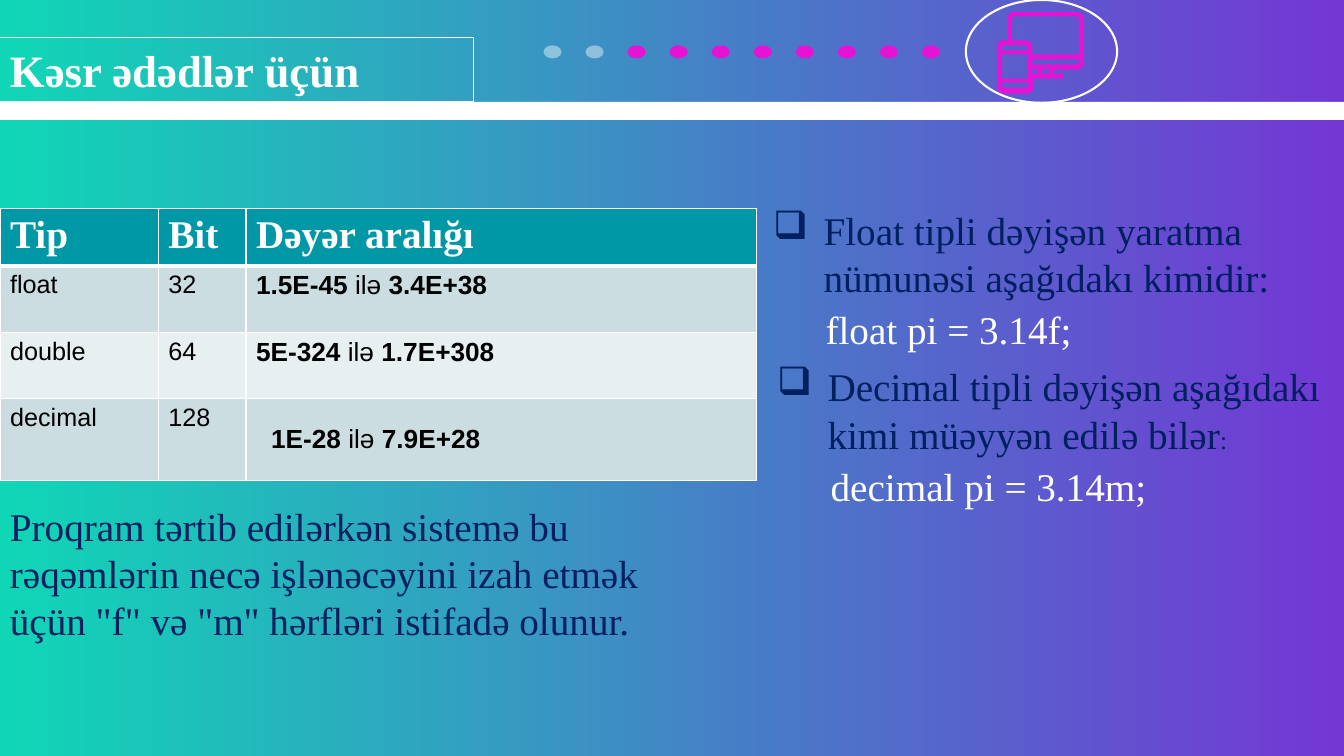
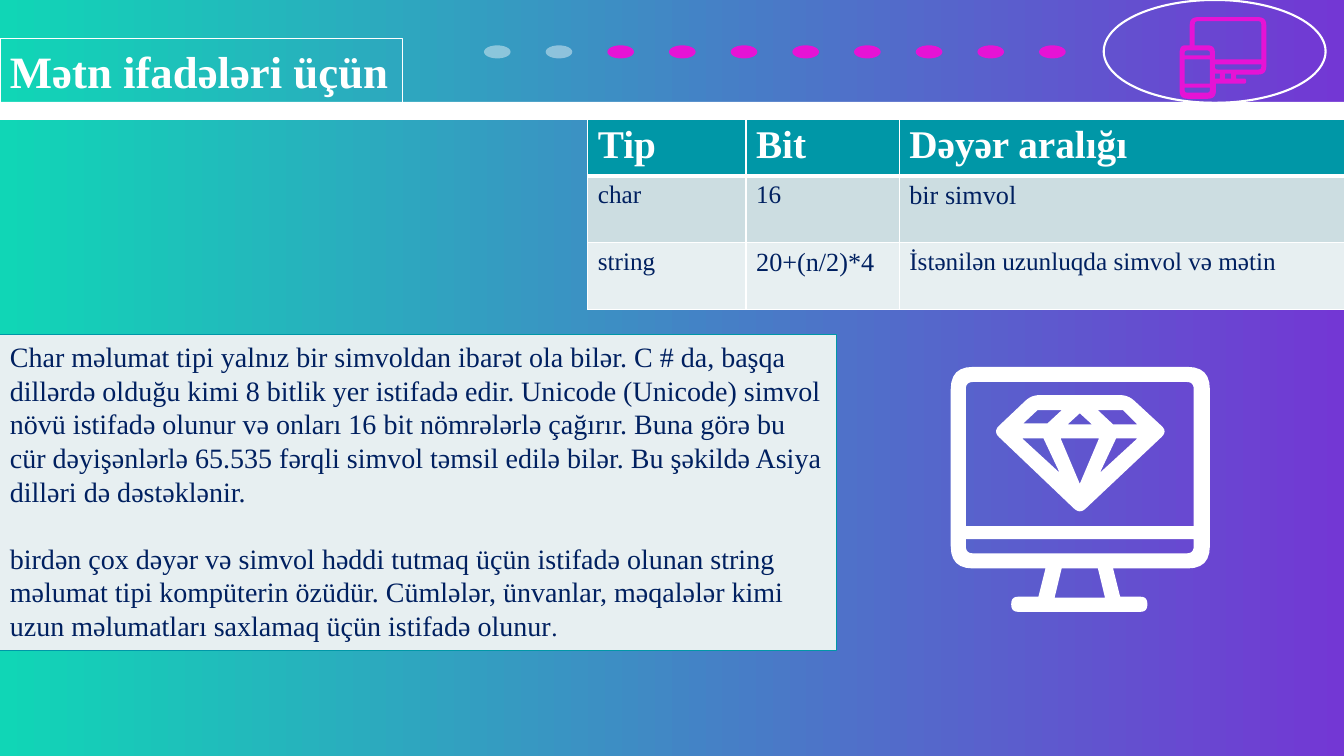
from dataclasses import dataclass
from typing import NamedTuple, Sequence

from lxml import etree
from pptx import Presentation
from pptx import util as u
from pptx.dml import color as colors
from pptx.enum import shapes, text as text_enum
from pptx.oxml import ns


@dataclass(frozen=True)
class Theme:
    white: str = "FFFFFF"
    black: str = "000000"
    navy: str = "002060"
    teal: str = "0097A7"
    magenta: str = "E613D5"
    band_dark: str = "CCDDE1"
    band_light: str = "E7EFF1"
    gradient: tuple[str, str] = ("10D6B6", "7337D4")
    serif: str = "Times New Roman"
    sans: str = "Arial"
    title_size: float = 32
    large_size: float = 28
    panel_size: float = 20
    range_size: float = 18.7
    small_size: float = 18


THEME = Theme()


class Run(NamedTuple):
    text: str
    size: float | None = None
    bold: bool | None = None


class Box(NamedTuple):
    left: float
    top: float
    width: float
    height: float

    def lengths(self) -> list[int]:
        return [u.Inches(value) for value in self]


class Corner(NamedTuple):
    x: float
    y: float
    radius: float = 0


Text = str | Sequence[Run]
Contour = Sequence[Corner]


@dataclass(frozen=True)
class Header:
    title: str
    title_box: Box
    wrap: bool
    left: float
    stretch: float
    icon_left: float
    icon_top: float


@dataclass(frozen=True)
class TypeTable:
    left: float
    top: float
    columns: Sequence[float]
    rows: Sequence[Sequence[Text]]
    font: str
    color: str


@dataclass(frozen=True)
class Note:
    box: Box
    text: Text
    color: str = THEME.navy
    bullet: bool = False
    wrap: bool = True


def contour(*corners: tuple) -> Contour:
    return [Corner(*corner) for corner in corners]


def rectangle(left: float, top: float, right: float, bottom: float,
              upper: float = 0, lower: float = 0) -> Contour:
    return contour((left, top, upper), (right, top, upper),
                   (right, bottom, lower), (left, bottom, lower))


DEVICES = [
    contour((.1, 0, .08), (.86, 0, .08), (.86, .57, .08), (.56, .57), (.56, .61),
            (.66, .61, .02), (.66, .66, .02), (.36, .66), (.36, .81, .08),
            (0, .81, .08), (0, .28, .08), (.1, .28)),
    contour((.15, .04, .03), (.81, .04, .03), (.81, .42), (.35, .42),
            (.35, .28, .07), (.15, .28)),
    rectangle(.05, .33, .3, .38, upper=.03),
    rectangle(.05, .42, .3, .66),
    rectangle(.05, .7, .3, .75, lower=.03),
    rectangle(.35, .47, .81, .52, lower=.03),
    rectangle(.35, .56, .4, .61),
    rectangle(.45, .56, .51, .61),
]
MONITOR = [
    contour((0, 0, .22), (2.57, 0, .22), (2.57, 2, .22), (1.61, 2), (1.68, 2.28),
            (1.95, 2.28, .07), (1.95, 2.43, .07), (.6, 2.43, .07), (.6, 2.28, .07),
            (.87, 2.28), (.94, 2), (0, 2, .22)),
    rectangle(.15, .15, 2.41, 1.58, upper=.07),
    rectangle(.15, 1.71, 2.41, 1.85, lower=.07),
    contour((1.1, 2), (1.46, 2), (1.53, 2.29), (1.03, 2.29)),
]
DIAMOND = [
    contour((.8, .28, .08), (1.76, .28, .08), (2.15, .64, .08),
            (1.28, 1.46, .08), (.42, .64, .08)),
    contour((1.1, .43), (.96, .56), (.72, .56), (.86, .43)),
    contour((1.28, .46), (1.4, .57), (1.16, .57)),
    contour((1.71, .43), (1.85, .57), (1.61, .57), (1.46, .43)),
    contour((.92, .71), (1.08, 1.05), (.71, .71)),
    contour((1.85, .71), (1.48, 1.05), (1.64, .71)),
    contour((1.47, .71), (1.28, 1.16), (1.09, .71)),
]


def rgb(value: str) -> colors.RGBColor:
    return colors.RGBColor.from_string(value)


def write(paragraph, text: Text, *, size: float, color: str, font: str = THEME.serif,
          bold: bool = False, bullet: bool = False, space_before: float = 0) -> None:
    paragraph.alignment = text_enum.PP_ALIGN.LEFT
    if space_before:
        paragraph.space_before = u.Pt(space_before)
    if bullet:
        properties = paragraph._p.get_or_add_pPr()
        properties.set("marL", str(u.Inches(.5)))
        properties.set("indent", str(-u.Inches(.5)))
        etree.SubElement(properties, ns.qn("a:buChar")).set("char", "❑")
    for part in [Run(text)] if isinstance(text, str) else text:
        run = paragraph.add_run()
        run.text = part.text
        run.font.name = font
        run.font.size = u.Pt(part.size or size)
        run.font.bold = bold if part.bold is None else part.bold
        run.font.color.rgb = rgb(color)


def paint(shape, *, fill: str | None = None, line: str | None = None,
          width: float = .75, opacity: int = 100) -> None:
    if fill:
        shape.fill.solid()
        shape.fill.fore_color.rgb = rgb(fill)
        if opacity < 100:
            tint = shape._element.spPr.find(".//" + ns.qn("a:srgbClr"))
            etree.SubElement(tint, ns.qn("a:alpha")).set("val", str(opacity * 1000))
    else:
        shape.fill.background()
    if line:
        shape.line.color.rgb = rgb(line)
        shape.line.width = u.Pt(width)
    else:
        shape.line.fill.background()


def add_shape(slide, kind: shapes.MSO_SHAPE, box: Box, **style):
    shape = slide.shapes.add_shape(kind, *box.lengths())
    shape.shadow.inherit = False
    paint(shape, **style)
    return shape


def add_text_frame(slide, box: Box, *, wrap: bool = True, **style):
    shape = slide.shapes.add_textbox(*box.lengths())
    paint(shape, **style)
    shape.text_frame.word_wrap = wrap
    return shape.text_frame


def toward(start: Corner, end: Corner, distance: float) -> tuple[float, float]:
    length = ((end.x - start.x) ** 2 + (end.y - start.y) ** 2) ** .5
    share = min(distance / length, .5)
    return start.x + (end.x - start.x) * share, start.y + (end.y - start.y) * share


def rounded_points(corners: Contour, left: float, top: float) -> list[tuple[int, int]]:
    points = []
    for index, corner in enumerate(corners):
        entry = toward(corner, corners[index - 1], corner.radius)
        leave = toward(corner, corners[(index + 1) % len(corners)], corner.radius)
        steps = 6 if corner.radius else 0
        for step in range(steps + 1):
            t = step / steps if steps else 0
            x, y = ((1 - t) ** 2 * a + 2 * t * (1 - t) * b + t * t * c
                    for a, b, c in zip(entry, corner[:2], leave))
            points.append((u.Inches(left + x), u.Inches(top + y)))
    return points


def add_icon(slide, contours: Sequence[Contour], left: float, top: float,
             color: str) -> None:
    outlines = [rounded_points(corners, left, top) for corners in contours]
    builder = slide.shapes.build_freeform(*outlines[0][0])
    for index, points in enumerate(outlines):
        if index:
            builder.move_to(*points[0])
        builder.add_line_segments(points[1:], close=True)
    shape = builder.convert_to_shape()
    shape.shadow.inherit = False
    paint(shape, fill=color)


def add_themed_slide(presentation, header: Header):
    slide = presentation.slides.add_slide(presentation.slide_layouts[6])
    background = slide.background.fill
    background.gradient()
    background.gradient_angle = 0
    for stop, color in zip(background.gradient_stops, THEME.gradient):
        stop.color.rgb = rgb(color)
    add_shape(slide, shapes.MSO_SHAPE.RECTANGLE, Box(0, 1.01, 13.33, .18),
              fill=THEME.white)
    frame = add_text_frame(slide, header.title_box, wrap=header.wrap, line=THEME.white)
    write(frame.paragraphs[0], header.title, size=THEME.title_size,
          color=THEME.white, bold=True)
    for index in range(10):
        pale = index < 2
        add_shape(slide, shapes.MSO_SHAPE.OVAL,
                  Box(header.left + index * .417 * header.stretch, .45,
                      .18 * header.stretch, .13),
                  fill=THEME.white if pale else THEME.magenta,
                  opacity=43 if pale else 100)
    add_shape(slide, shapes.MSO_SHAPE.OVAL,
              Box(header.left + 4.19 * header.stretch, 0, 1.5 * header.stretch, 1.02),
              line=THEME.white, width=1.5)
    add_icon(slide, DEVICES, header.icon_left, header.icon_top, THEME.magenta)
    return slide


def style_cell(cell, fill: str, bottom: float) -> None:
    properties = cell._tc.get_or_add_tcPr()
    for side, width in (("L", 1), ("R", 1), ("T", 1), ("B", bottom)):
        line = etree.SubElement(properties, ns.qn("a:ln" + side), w=str(u.Pt(width)))
        solid = etree.SubElement(line, ns.qn("a:solidFill"))
        etree.SubElement(solid, ns.qn("a:srgbClr"), val=THEME.white)
    cell.fill.solid()
    cell.fill.fore_color.rgb = rgb(fill)


def add_type_table(slide, content: TypeTable):
    rows = [("Tip", "Bit", "Dəyər aralığı"), *content.rows]
    heights = [.56] + [.66] * len(content.rows)
    box = Box(content.left, content.top, sum(content.columns), sum(heights))
    table = slide.shapes.add_table(len(rows), len(content.columns), *box.lengths()).table
    table.horz_banding = False
    for column, width in zip(table.columns, content.columns):
        column.width = u.Inches(width)
    for index, (row, height) in enumerate(zip(table.rows, heights)):
        row.height = u.Inches(height)
        heading = index == 0
        band = THEME.band_dark if index % 2 else THEME.band_light
        for cell, value in zip(row.cells, rows[index]):
            style_cell(cell, THEME.teal if heading else band, 3 if heading else 1)
            write(cell.text_frame.paragraphs[0], value,
                  size=THEME.large_size if heading else THEME.small_size,
                  color=THEME.white if heading else content.color,
                  font=THEME.serif if heading else content.font, bold=heading)
    return table


def value_range(low: str, high: str) -> list[Run]:
    size = THEME.range_size
    return [Run(low, size, True), Run(" ilə ", size), Run(high, size, True)]


def add_fraction_slide(presentation) -> None:
    slide = add_themed_slide(presentation, Header(
        "Kəsr ədədlər üçün", Box(0, .37, 4.7, .64), True, 5.39, 1, 9.89, .12))
    table = add_type_table(slide, TypeTable(0, 2.07, (1.57, .87, 5.06), [
        ("float", "32", value_range("1.5E-45", "3.4E+38")),
        ("double", "64", value_range("5E-324", "1.7E+308")),
        ("decimal", "128", value_range("1E-28", "7.9E+28")),
    ], THEME.sans, THEME.black))
    inset_cell = table.cell(3, 2)
    inset_cell.vertical_anchor = text_enum.MSO_ANCHOR.MIDDLE
    for side in ("left", "top", "right", "bottom"):
        setattr(inset_cell, "margin_" + side, u.Inches(.25))
    notes = [
        Note(Box(7.57, 2, 5.95, 1.04),
             "Float tipli dəyişən yaratma nümunəsi aşağıdakı kimidir:", bullet=True),
        Note(Box(8.09, 2.98, 2.67, .57), "float pi = 3.14f;", THEME.white, wrap=False),
        Note(Box(7.61, 3.55, 5.84, 1.04),
             [Run("Decimal tipli dəyişən aşağıdakı kimi müəyyən edilə bilər"),
              Run(":", THEME.small_size)], bullet=True),
        Note(Box(8.14, 4.54, 3.65, .57), "decimal pi = 3.14m;", THEME.white),
        Note(Box(0, 4.93, 6.67, 1.51),
             "Proqram tərtib edilərkən sistemə bu rəqəmlərin necə işlənəcəyini izah "
             'etmək üçün "f" və "m" hərfləri istifadə olunur.'),
    ]
    for note in notes:
        frame = add_text_frame(slide, note.box, wrap=note.wrap)
        write(frame.paragraphs[0], note.text, size=THEME.large_size,
              color=note.color, bullet=note.bullet)


def add_text_types_slide(presentation) -> None:
    slide = add_themed_slide(presentation, Header(
        "Mətn ifadələri üçün", Box(0, .38, 3.99, .64), False, 4.8, 1.467, 11.7, .17))
    add_type_table(slide, TypeTable(5.83, 1.18, (1.57, 1.52, 4.42), [
        ("char", "16", [Run("bir simvol", THEME.range_size)]),
        ("string", [Run("20+(n/2)*4", THEME.range_size)],
         "İstənilən uzunluqda simvol və mətin"),
    ], THEME.serif, THEME.navy))
    frame = add_text_frame(slide, Box(0, 3.32, 8.3, 3.13),
                           fill=THEME.band_light, line=THEME.teal)
    write(frame.paragraphs[0],
          "Char məlumat tipi yalnız bir simvoldan ibarət ola bilər. C # da, başqa "
          "dillərdə olduğu kimi 8 bitlik yer istifadə edir. Unicode (Unicode) simvol "
          "növü istifadə olunur və onları 16 bit nömrələrlə çağırır. Buna görə bu cür "
          "dəyişənlərlə 65.535 fərqli simvol təmsil edilə bilər. Bu şəkildə Asiya "
          "dilləri də dəstəklənir.", size=THEME.panel_size, color=THEME.navy)
    write(frame.add_paragraph(), [
        Run("birdən çox dəyər və simvol həddi tutmaq üçün istifadə olunan string "
            "məlumat tipi kompüterin özüdür. Cümlələr, ünvanlar, məqalələr kimi uzun "
            "məlumatları saxlamaq üçün istifadə olunur"),
        Run(".", THEME.small_size),
    ], size=THEME.panel_size, color=THEME.navy, space_before=24)
    for contours in (MONITOR, DIAMOND):
        add_icon(slide, contours, 9.43, 3.64, THEME.white)


def main() -> None:
    presentation = Presentation()
    presentation.slide_width = u.Inches(13.33)
    presentation.slide_height = u.Inches(7.5)
    add_fraction_slide(presentation)
    add_text_types_slide(presentation)
    presentation.save("out.pptx")


if __name__ == "__main__":
    main()
